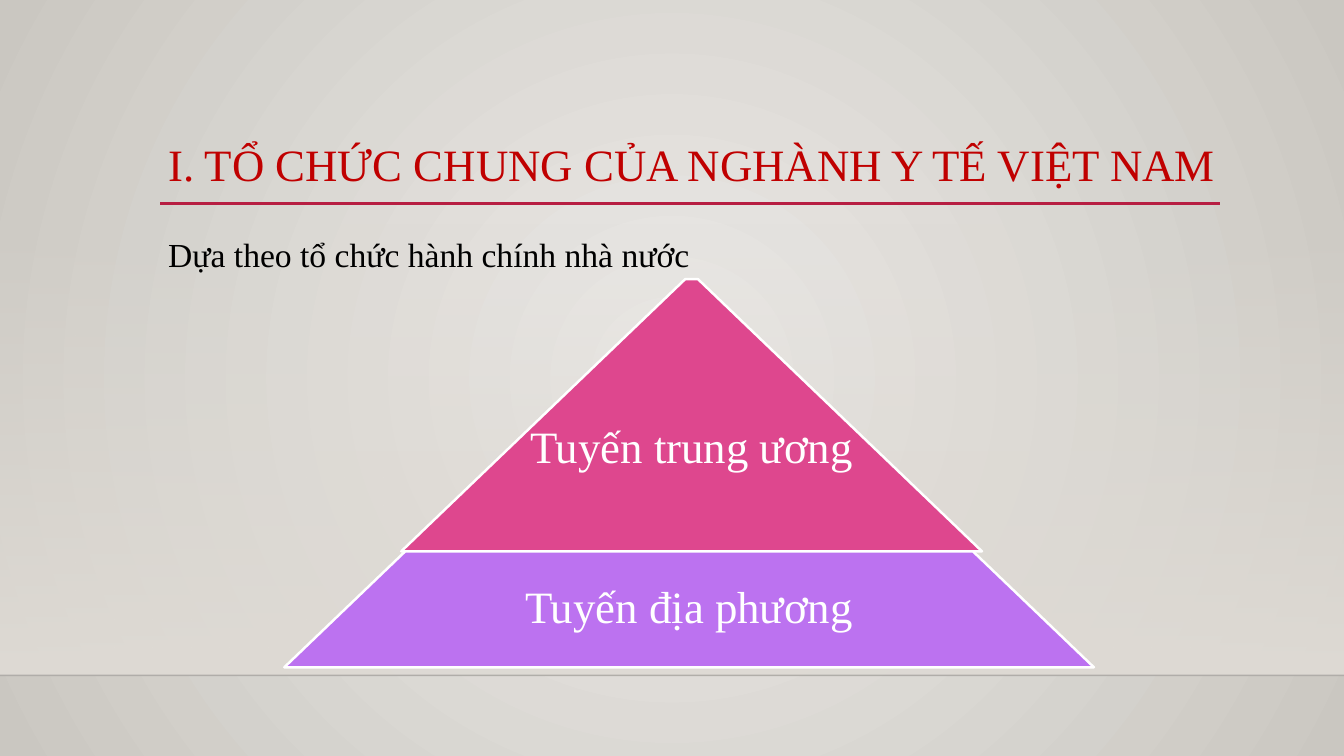
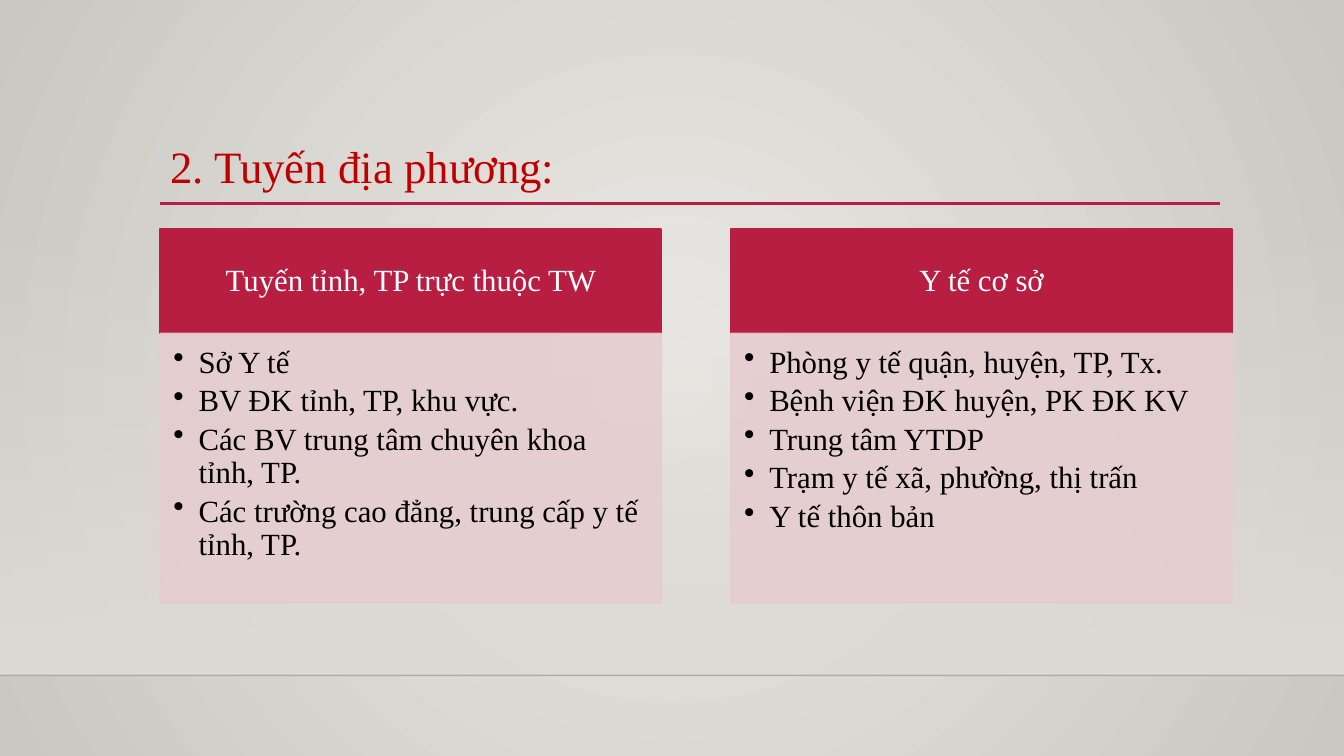
from lxml import etree
from pptx import Presentation
from pptx.dml.color import RGBColor
from pptx.enum.shapes import MSO_CONNECTOR as CONNECTOR, MSO_SHAPE as SHAPE
from pptx.enum.text import MSO_ANCHOR as ANCHOR, PP_ALIGN as ALIGN
from pptx.oxml.ns import qn
from pptx.util import Inches, Pt

# Content
LEVELS_TITLE = "I. TỔ CHỨC CHUNG CỦA NGHÀNH Y TẾ VIỆT NAM"
LEVELS_INTRO = "Dựa theo tổ chức hành chính nhà nước"
# text, colour, (left, top, width, height), bottom inset that places the text
LEVELS = [
    ("Tuyến trung ương", "pink", (3.98, 2.77, 5.76, 2.7), 0.22),
    ("Tuyến địa phương", "violet", (2.82, 5.47, 8.03, 1.15), 0.12),
]
LOCAL_TITLE = "2. Tuyến địa phương:"
LOCAL_GROUPS = [
    ("Tuyến tỉnh, TP trực thuộc TW", [
        "Sở Y tế",
        "BV ĐK tỉnh, TP, khu vực.",
        "Các BV trung tâm chuyên khoa tỉnh, TP.",
        "Các trường cao đẳng, trung cấp y tế tỉnh, TP.",
    ]),
    ("Y tế cơ sở", [
        "Phòng y tế quận, huyện, TP, Tx.",
        "Bệnh viện ĐK huyện, PK ĐK KV",
        "Trung tâm YTDP",
        "Trạm y tế xã, phường, thị trấn",
        "Y tế thôn bản",
    ]),
]

# Style
FONT = "Times New Roman"
COLORS = {
    "centre": "ECEAE7", "edge": "CAC7C1", "wall": "DFDBD5", "floor": "000001",
    "accent": "B71E42", "title": "C00000", "pink": "DE478E", "violet": "BC72F0",
    "panel": "E6CDCF", "white": "FFFFFF", "black": "000000",
}
SLIDE_W, SLIDE_H = 13.33, 7.5
FLOOR_Y = 6.7
WALL_Y = 2.21
SLOPE = 1.043
GROUP_LEFT, GROUP_TOP, GROUP_W, GROUP_STEP = 1.59, 2.27, 4.97, 5.66
HEADER_H, PANEL_H = 1.04, 2.67


def rgb(name):
    return RGBColor.from_string(COLORS[name])


def add_alpha(parent, percent):
    """Make the colours below an element partly transparent."""
    for color in parent.iter(qn("a:srgbClr")):
        etree.SubElement(color, qn("a:alpha")).set("val", str(percent * 1000))


def set_gradient(fill, owner, stops, radial=False):
    """Give a fill two stops (colour, opacity), radial or top to bottom."""
    fill.gradient()
    gradient = owner.find(".//" + qn("a:gradFill"))
    for child in list(gradient):
        gradient.remove(child)
    stop_list = etree.SubElement(gradient, qn("a:gsLst"))
    for position, (name, opacity) in zip((0, 100000), stops):
        stop = etree.SubElement(stop_list, qn("a:gs"), pos=str(position))
        etree.SubElement(stop, qn("a:srgbClr"), val=COLORS[name])
        add_alpha(stop, opacity)
    if radial:
        shade = etree.SubElement(gradient, qn("a:path"))
        shade.set("path", "circle")
        etree.SubElement(shade, qn("a:fillToRect"),
                         {side: "50000" for side in "ltrb"})
    else:
        etree.SubElement(gradient, qn("a:lin"), ang="5400000", scaled="0")


def add_block(slide, preset, box, color, line_color, line_width):
    block = slide.shapes.add_shape(preset, *map(Inches, box))
    block.shadow.inherit = False
    block.fill.solid()
    block.fill.fore_color.rgb = rgb(color)
    block.line.color.rgb = rgb(line_color)
    block.line.width = Pt(line_width)
    return block


def add_rule(slide, left, right, y, color, width):
    rule = slide.shapes.add_connector(
        CONNECTOR.STRAIGHT, Inches(left), Inches(y), Inches(right), Inches(y))
    rule.line.color.rgb = rgb(color)
    rule.line.width = Pt(width)
    properties = rule._element.spPr
    etree.SubElement(properties, qn("a:effectLst"))
    return properties


def write(shape, lines, size, color, align=ALIGN.LEFT, anchor=ANCHOR.TOP,
          insets=(0.1, 0.05, 0.1, 0.05), spacing=0.9, wrap=True):
    frame = shape.text_frame
    frame.word_wrap = wrap
    frame.vertical_anchor = anchor
    (frame.margin_left, frame.margin_top,
     frame.margin_right, frame.margin_bottom) = map(Inches, insets)
    frame.text = "\n".join(lines)
    for paragraph in frame.paragraphs:
        paragraph.alignment = align
        paragraph.line_spacing = spacing
        paragraph.font.name = FONT
        paragraph.font.size = Pt(size)
        paragraph.font.color.rgb = rgb(color)
    return frame.paragraphs


def add_text(slide, box, text, size, color, spacing):
    box = slide.shapes.add_textbox(*map(Inches, box))
    write(box, [text], size, color, spacing=spacing)


def set_bullet(paragraph):
    paragraph.space_after = Pt(3.8)
    properties = paragraph._p.get_or_add_pPr()
    properties.set("marL", str(Inches(0.25)))
    properties.set("indent", str(-Inches(0.25)))
    bullet = etree.Element(qn("a:buChar"), char="•")
    defaults = properties.find(qn("a:defRPr"))
    if defaults is None:
        properties.append(bullet)
    else:
        defaults.addprevious(bullet)


def add_slide(prs, title, title_box):
    """Add a slide with the shared wall, floor line, title and title rule."""
    slide = prs.slides.add_slide(prs.slide_layouts[6])
    wall = add_block(slide, SHAPE.RECTANGLE,
                     (0, WALL_Y, SLIDE_W, FLOOR_Y - WALL_Y), "wall", "wall", 1)
    set_gradient(wall.fill, wall._element.spPr, [("wall", 0), ("wall", 100)])
    wall.line.fill.background()
    add_alpha(add_rule(slide, 0, SLIDE_W, FLOOR_Y, "floor", 1), 20)
    add_rule(slide, 1.59, 12.1, 2.02, "accent", 2.5)
    add_text(slide, title_box, title, 32, "title", 0.9)
    return slide


def build_levels(prs):
    slide = add_slide(prs, LEVELS_TITLE, (1.57, 1.37, 10.8, 1.15))
    for text, color, box, bottom in LEVELS:
        level = add_block(slide, SHAPE.TRAPEZOID, box, color, "white", 1.75)
        level.adjustments[0] = SLOPE
        write(level, [text], 32, "white", ALIGN.CENTER, ANCHOR.MIDDLE,
              (0, 0, 0, bottom), wrap=False)
    add_text(slide, (1.57, 2.27, 7.9, 0.5), LEVELS_INTRO, 24, "black", 1.0)


def build_local_groups(prs):
    slide = add_slide(prs, LOCAL_TITLE, (1.59, 1.39, 10.5, 1.15))
    for index, (heading, members) in enumerate(LOCAL_GROUPS):
        left = GROUP_LEFT + index * GROUP_STEP
        header = add_block(slide, SHAPE.RECTANGLE,
                           (left, GROUP_TOP, GROUP_W, HEADER_H),
                           "accent", "accent", 1.25)
        write(header, [heading], 22, "white", ALIGN.CENTER, ANCHOR.MIDDLE,
              (0.17, 0.1, 0.17, 0.1))
        panel = add_block(slide, SHAPE.RECTANGLE,
                          (left, GROUP_TOP + HEADER_H, GROUP_W, PANEL_H),
                          "panel", "panel", 1.25)
        add_alpha(panel._element.spPr, 90)
        for paragraph in write(panel, members, 22, "black",
                               insets=(0.13, 0.13, 0.17, 0.19)):
            set_bullet(paragraph)


def main():
    prs = Presentation()
    prs.slide_width, prs.slide_height = Inches(SLIDE_W), Inches(SLIDE_H)
    master = prs.slide_master
    set_gradient(master.background.fill, master._element,
                 [("centre", 100), ("edge", 100)], radial=True)
    build_levels(prs)
    build_local_groups(prs)
    prs.save("out.pptx")


if __name__ == "__main__":
    main()
